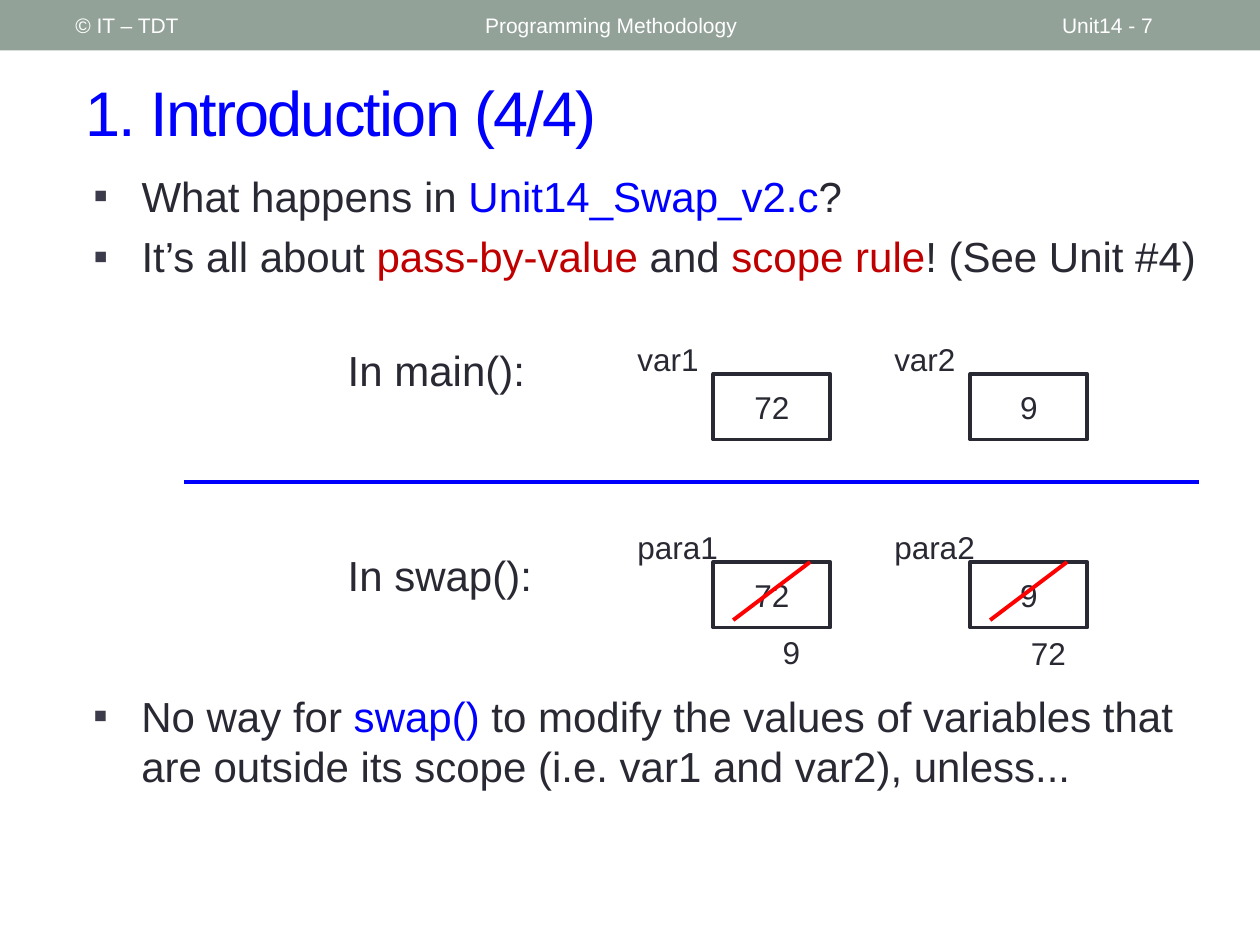
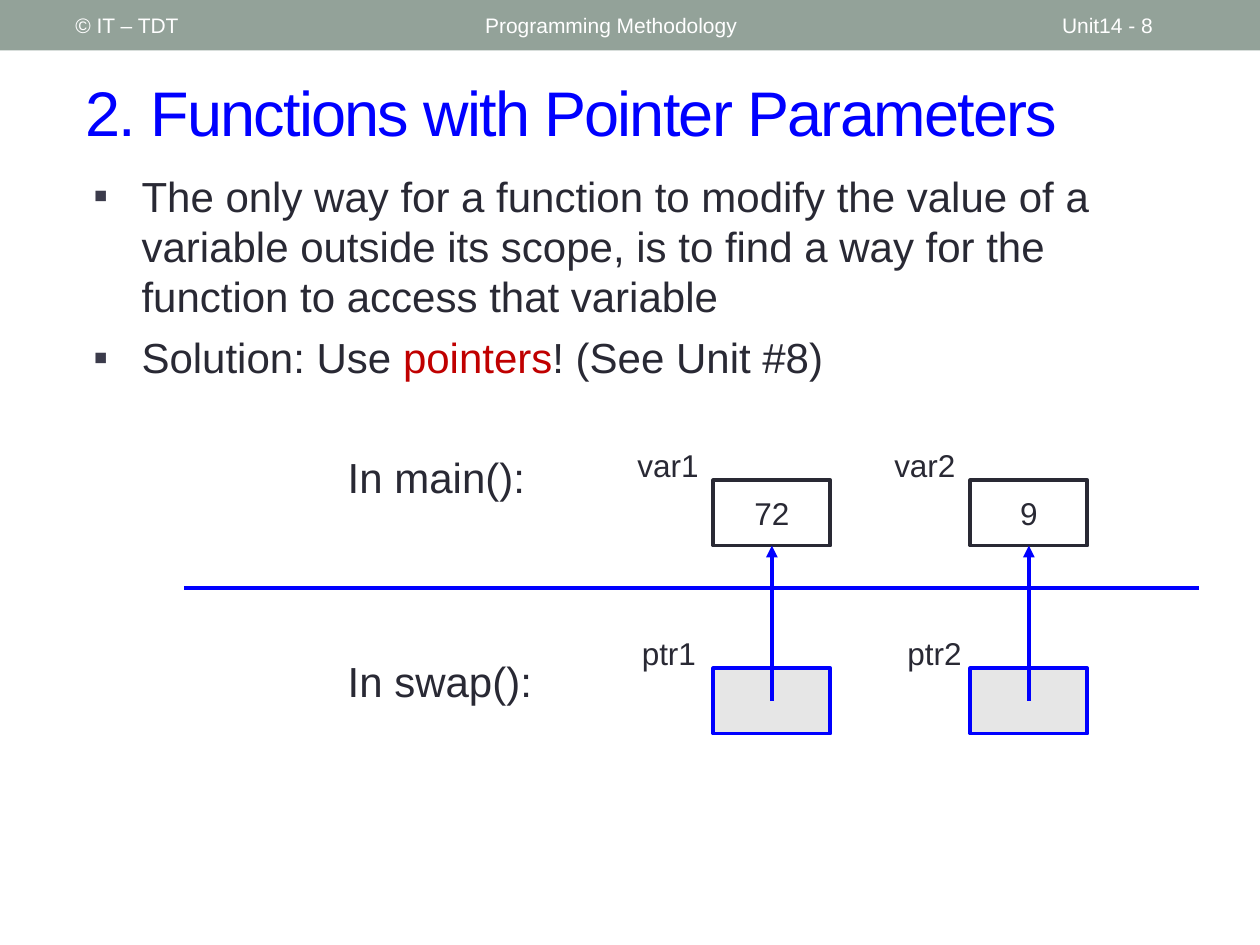
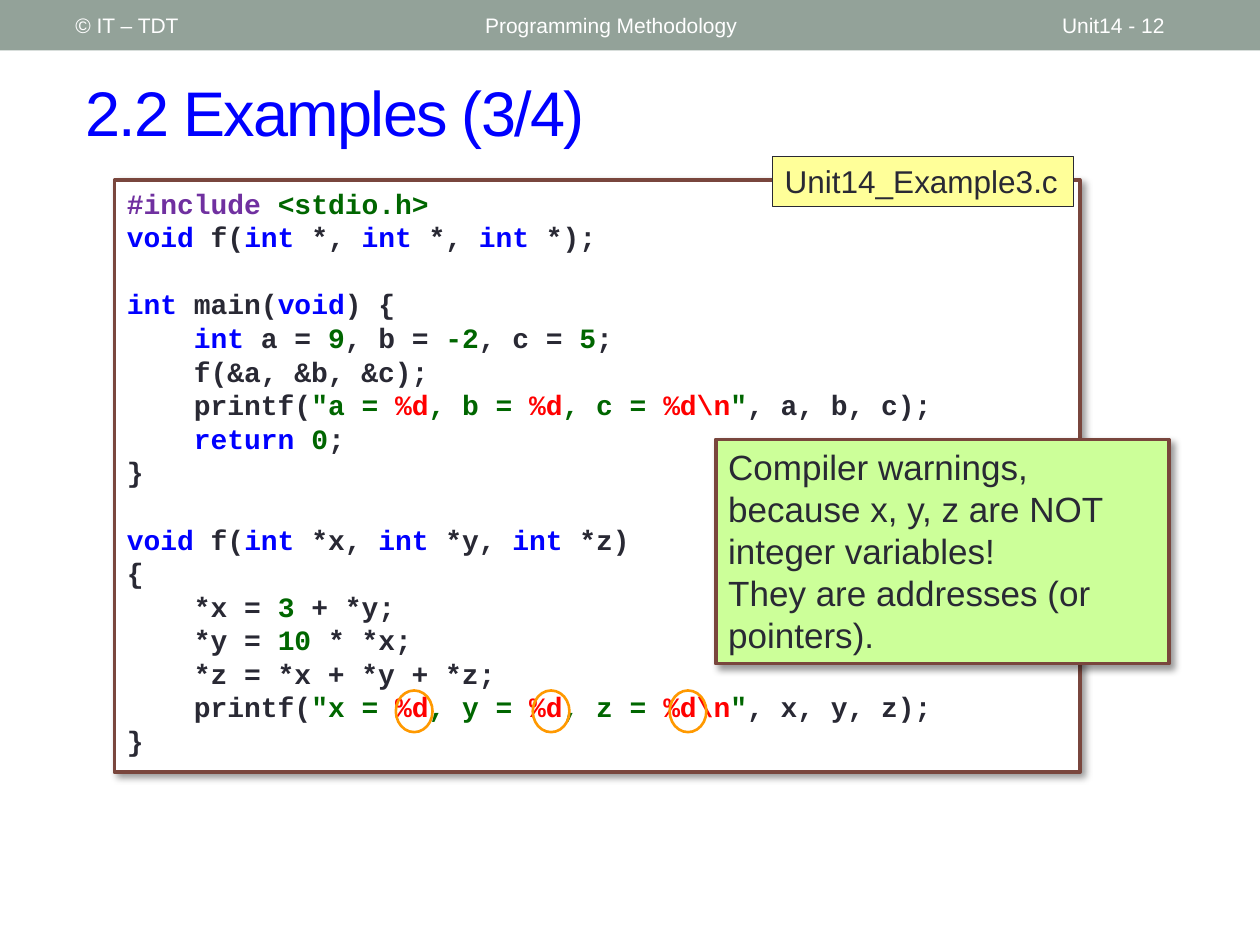
from dataclasses import dataclass

from lxml.etree import SubElement
from pptx import Presentation
from pptx.dml.color import RGBColor
from pptx.enum.shapes import MSO_CONNECTOR as Connector, MSO_SHAPE as Preset
from pptx.enum.text import MSO_ANCHOR as Anchor, MSO_AUTO_SIZE as AutoSize, PP_ALIGN as Align
from pptx.oxml.ns import qn
from pptx.util import Cm, Pt


@dataclass(frozen=True)
class Theme:
    font: str = "Arial"
    code_font: str = "Courier New"
    text: str = "292934"
    bullet: str = "3B3B4B"
    band: str = "93A299"
    white: str = "FFFFFF"
    blue: str = "0000FF"
    crimson: str = "C00000"
    red: str = "FF0000"
    green: str = "006600"
    purple: str = "7030A0"
    brown: str = "79463D"
    orange: str = "FF9900"
    grey: str = "E6E6E6"
    yellow: str = "FFFF99"
    lime: str = "CCFF99"
    title_size: float = 36
    body_size: float = 24
    callout_size: float = 20
    label_size: float = 18
    code_size: float = 16
    header_size: float = 12
    box_line: float = 2.08
    rule_line: float = 2.25


THEME = Theme()
CELL_LEFT, CELL_STEP, CELL_WIDTH, CELL_HEIGHT = 14.38, 5.18, 2.36, 1.32
SCOPE_STEP = 3.79
CODE_GAP = 19.2


def blue(text):
    return text, THEME.blue


def crimson(text):
    return text, THEME.crimson


def red(text):
    return text, THEME.red


def green(text):
    return text, THEME.green


def purple(text):
    return text, THEME.purple


def rgb(value):
    return RGBColor.from_string(value)


def place(shape, left, top, width, height):
    shape.left, shape.top = Cm(left), Cm(top)
    shape.width, shape.height = Cm(width), Cm(height)


def add_runs(paragraph, parts, size, color=THEME.text, font=THEME.font, bold=False):
    for part in parts:
        text, run_color = (part, color) if isinstance(part, str) else part
        run = paragraph.add_run()
        run.text = text
        run.font.name = font
        run.font.size = Pt(size)
        run.font.bold = bold
        run.font.color.rgb = rgb(run_color)


def next_paragraph(frame, index):
    return frame.add_paragraph() if index else frame.paragraphs[0]


def write_lines(frame, lines, size, align=Align.LEFT, anchor=Anchor.TOP, wrap=True, **style):
    frame.word_wrap = wrap
    frame.vertical_anchor = anchor
    for index, parts in enumerate(lines):
        paragraph = next_paragraph(frame, index)
        paragraph.alignment = align
        add_runs(paragraph, parts, size, **style)


def add_text(slide, text, left, top, width, height, size, **style):
    box = slide.shapes.add_textbox(Cm(left), Cm(top), Cm(width), Cm(height))
    write_lines(box.text_frame, [[text]], size, **style)


def add_box(slide, left, top, width, height, fill=None, line=None,
            line_width=THEME.box_line, preset=Preset.RECTANGLE):
    shape = slide.shapes.add_shape(preset, Cm(left), Cm(top), Cm(width), Cm(height))
    shape.shadow.inherit = False
    if fill:
        shape.fill.solid()
        shape.fill.fore_color.rgb = rgb(fill)
    else:
        shape.fill.background()
    if line:
        shape.line.color.rgb = rgb(line)
        shape.line.width = Pt(line_width)
    else:
        shape.line.fill.background()
    return shape


def add_drop_shadow(shape):
    effects = shape.element.spPr.find(qn("a:effectLst"))
    shadow = SubElement(effects, qn("a:outerShdw"), blurRad=str(Pt(4)), dist=str(Pt(3)),
                        dir=str(45 * 60000), algn="tl", rotWithShape="0")
    color = SubElement(shadow, qn("a:srgbClr"), val="000000")
    SubElement(color, qn("a:alpha"), val="40000")


def add_line(slide, start, end, color, arrow=False):
    points = [Cm(value) for value in (*start, *end)]
    line = slide.shapes.add_connector(Connector.STRAIGHT, *points)
    line.line.color.rgb = rgb(color)
    line.line.width = Pt(THEME.rule_line)
    if arrow:
        SubElement(line.line._get_or_add_ln(), qn("a:tailEnd"), type="triangle")
    SubElement(line.element.spPr, qn("a:effectLst"))
    return line


def add_bullets(frame, items):
    frame.word_wrap = True
    frame.auto_size = AutoSize.NONE
    for index, parts in enumerate(items):
        paragraph = next_paragraph(frame, index)
        paragraph.space_before = Pt(6 if index else 0)
        properties = paragraph._p.get_or_add_pPr()
        properties.set("marL", str(Cm(0.97)))
        properties.set("indent", str(-Cm(0.97)))
        color = SubElement(properties, qn("a:buClr"))
        SubElement(color, qn("a:srgbClr"), val=THEME.bullet)
        SubElement(properties, qn("a:buFont"), typeface=THEME.font)
        SubElement(properties, qn("a:buChar"), char="▪")
        add_runs(paragraph, parts, THEME.body_size)


def add_body(slide, items, height):
    body = slide.placeholders[1]
    place(body, 1.63, 3.3, 22.86, height)
    add_bullets(body.text_frame, items)


def add_master_band(presentation, slide):
    band = add_box(slide, 0, 0, 25.4, 1.02, fill=THEME.band)
    band.element.nvSpPr.cNvPr.set("id", "20")
    presentation.slide_master.shapes.element.insert(2, band.element)


def add_slide(presentation, layout, title, number):
    slide = presentation.slides.add_slide(presentation.slide_layouts[layout])
    heading = slide.shapes.title
    place(heading, 1.47, 1.07, 23.29, 2.34)
    heading.text_frame.auto_size = AutoSize.NONE
    write_lines(heading.text_frame, [[blue(title)]], THEME.title_size, anchor=Anchor.MIDDLE)
    for run in heading.text_frame.paragraphs[0].runs:
        run.font._element.set("spc", "-100")
    headers = [("Programming Methodology", 9.53, 11.43),
               (f"Unit14 - {number}", 21.16, 2.97),
               ("© IT – TDT", 1.27, 8.05)]
    for text, left, width in headers:
        add_text(slide, text, left, 0.05, width, 0.91, THEME.header_size,
                 color=THEME.white, anchor=Anchor.MIDDLE)
    return slide


def cell_left(column):
    return CELL_LEFT + column * CELL_STEP


def add_cell(slide, column, top, label, value=None, label_width=1.83, overhang=0.0,
             fill=None, line=THEME.text):
    left = cell_left(column)
    cell = add_box(slide, left, top, CELL_WIDTH, CELL_HEIGHT, fill, line)
    if value:
        write_lines(cell.text_frame, [[value]], THEME.label_size, Align.CENTER, Anchor.MIDDLE)
    add_text(slide, label, left + overhang - label_width, top - 0.81, label_width, 1.02,
             THEME.label_size, align=Align.CENTER)
    return cell


def add_scopes(slide, top):
    for text, heading_top in (("In main():", top - 0.71), ("In swap():", top + 3.41)):
        add_text(slide, text, 6.76, heading_top, 4.29, 1.27, THEME.body_size)
    add_line(slide, (3.71, top + 2.18), (24.18, top + 2.18), THEME.blue)
    return [add_cell(slide, column, top, f"var{column + 1}", value)
            for column, value in enumerate(("72", "9"))]


def build_introduction(presentation):
    slide = add_slide(presentation, 1, "1. Introduction (4/4)", 7)
    add_master_band(presentation, slide)
    add_body(slide, [
        ["What happens in ", blue("Unit14_Swap_v2.c"), "?"],
        ["It’s all about ", crimson("pass-by-value "), "and", crimson(" scope rule"),
         "! (See Unit #4)"],
    ], 2.79)
    main_top = 7.54
    swap_top = main_top + SCOPE_STEP
    add_scopes(slide, main_top)
    for column, (before, after) in enumerate((("72", "9"), ("9", "72"))):
        left = cell_left(column)
        add_cell(slide, column, swap_top, f"para{column + 1}", before, 2.24, 0.4)
        add_line(slide, (left + 1.95, swap_top), (left + 0.4, swap_top + 1.17), THEME.red)
        add_text(slide, after, left + 0.8, swap_top + 1.3 + column * 0.03, 1.55, 1.02,
                 THEME.label_size, align=Align.CENTER)
    closing = slide.shapes.add_textbox(Cm(1.63), Cm(13.79), Cm(22.86), Cm(2.79))
    add_bullets(closing.text_frame, [
        ["No way for ", blue("swap() "), "to modify the values of variables that are outside "
         "its scope (i.e. var1 and var2), unless..."],
    ])


def build_pointers(presentation):
    slide = add_slide(presentation, 1, "2. Functions with Pointer Parameters", 8)
    add_body(slide, [
        ["The only way for a function to modify the value of a variable outside its scope, "
         "is to find a way for the function to access that variable"],
        ["Solution: Use ", crimson("pointers"), "! (See Unit #8)"],
    ], 13.84)
    main_top = 9.68
    swap_top = main_top + SCOPE_STEP
    variables = add_scopes(slide, main_top)
    for column, (variable, label_width) in enumerate(zip(variables, (2.59, 2.24))):
        add_cell(slide, column, swap_top, f"ptr{column + 1}", None, label_width, 0.4,
                 THEME.grey, THEME.blue)
        center = cell_left(column) + CELL_WIDTH / 2
        arrow = add_line(slide, (center, swap_top + CELL_HEIGHT / 2),
                         (center, main_top + CELL_HEIGHT), THEME.blue, arrow=True)
        arrow.end_connect(variable, 2)


def printf_line(names):
    first, second, third = names
    return ["    printf(", green(f'"{first} = '), red("%d"), green(f", {second} = "), red("%d"),
            green(f", {third} = "), red("%d\\n"), green('"'), f", {', '.join(names)});"]


def example_code():
    integer, void = blue("int"), blue("void")
    return [
        [
            [purple("#include "), green("<stdio.h>")],
            [void, " f(", integer, " *, ", integer, " *, ", integer, " *);"],
        ],
        [
            [integer, " main(", void, ") {"],
            ["    ", integer, " a = ", green("9"), ", b = ", green("-2"), ", c = ",
             green("5"), ";"],
            ["    f(&a, &b, &c);"],
            printf_line("abc"),
            ["    ", blue("return "), green("0"), ";"],
            ["}"],
        ],
        [
            [void, " f(", integer, " *x, ", integer, " *y, ", integer, " *z)"],
            ["{"],
            ["    *x = ", green("3"), " + *y;"],
            ["    *y = ", green("10"), " * *x;"],
            ["    *z = *x + *y + *z;"],
            printf_line("xyz"),
            ["}"],
        ],
    ]


def add_code(slide, blocks):
    panel = add_box(slide, 2.31, 3.63, 19.46, 11.94, THEME.white, THEME.brown)
    add_drop_shadow(panel)
    lines = [line for block in blocks for line in block]
    write_lines(panel.text_frame, lines, THEME.code_size, font=THEME.code_font, bold=True)
    start = 0
    for block in blocks[:-1]:
        start += len(block)
        panel.text_frame.paragraphs[start].space_before = Pt(CODE_GAP)


def build_example(presentation):
    slide = add_slide(presentation, 5, "2.2 Examples (3/4)", 12)
    add_code(slide, example_code())
    file_tag = add_box(slide, 15.57, 3.15, 6.07, 1.02, THEME.yellow, THEME.text, 0.75)
    write_lines(file_tag.text_frame, [["Unit14_Example3.c"]], THEME.label_size, wrap=False)
    warning = add_box(slide, 14.43, 8.86, 9.14, 4.52, THEME.lime, THEME.brown)
    add_drop_shadow(warning)
    write_lines(warning.text_frame, [
        ["Compiler warnings, because x, y, z are NOT integer variables!"],
        ["They are addresses (or pointers)."],
    ], THEME.callout_size)
    for index in range(3):
        add_box(slide, 7.98 + index * 2.76, 13.92, 0.74, 0.84, line=THEME.orange,
                line_width=1.5, preset=Preset.OVAL)


def main():
    presentation = Presentation()
    presentation.slide_width, presentation.slide_height = Cm(25.4), Cm(19.05)
    build_introduction(presentation)
    build_pointers(presentation)
    build_example(presentation)
    presentation.save("out.pptx")


if __name__ == "__main__":
    main()
